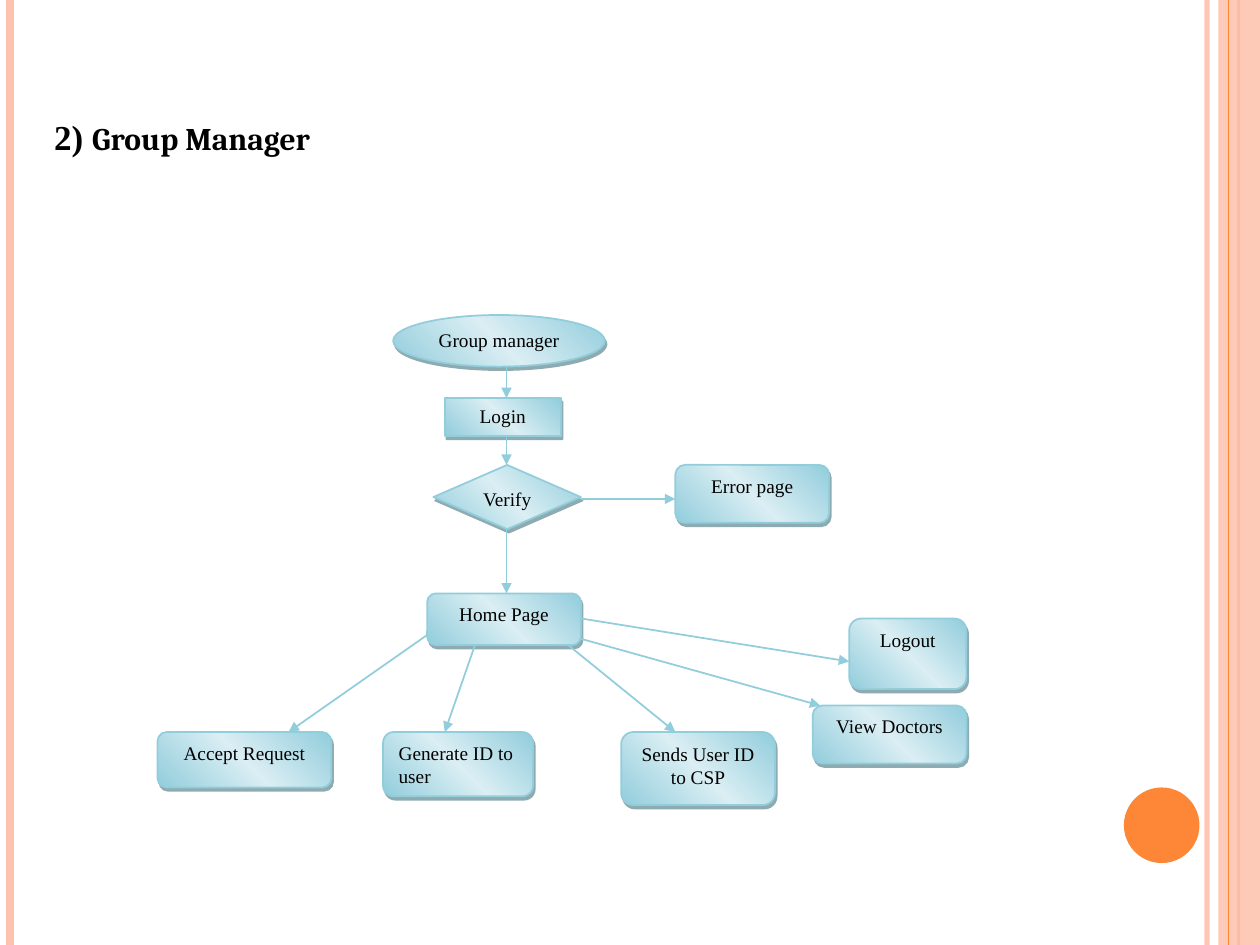
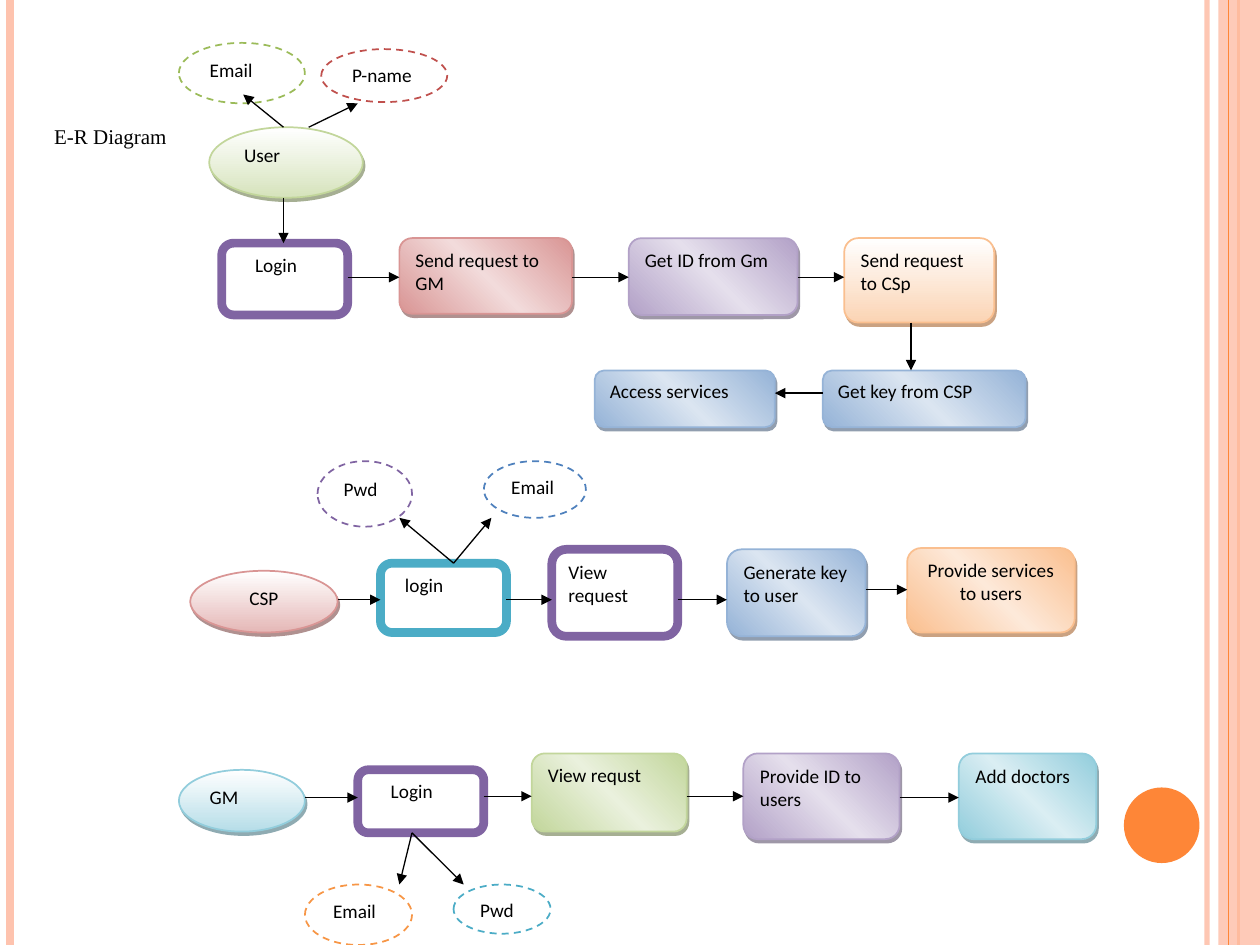
"""Build two slides: the group manager flow chart and the E-R diagram."""
import dataclasses

import pptx
import pptx.dml.color
import pptx.enum.dml
import pptx.enum.shapes
import pptx.enum.text
import pptx.oxml
import pptx.oxml.ns
import pptx.util

RGBColor = pptx.dml.color.RGBColor
Inches = pptx.util.Inches
Pt = pptx.util.Pt
Kind = pptx.enum.shapes.MSO_SHAPE
Align = pptx.enum.text.PP_ALIGN
qn = pptx.oxml.ns.qn
NAMESPACE = pptx.oxml.ns.nsdecls("a")


@dataclasses.dataclass(frozen=True)
class Hue:
    """One colour family, from its strong tone to its shadow."""
    strong: RGBColor
    base: RGBColor
    light: RGBColor
    soft: RGBColor
    shade: RGBColor


def hue(*codes):
    """Make a colour family from hex codes."""
    return Hue(*map(RGBColor.from_string, codes))


BLACK = RGBColor(0x00, 0x00, 0x00)
WHITE = RGBColor(0xFF, 0xFF, 0xFF)
PEACH = RGBColor(0xFE, 0xC3, 0xAE)
TANGERINE = RGBColor(0xFE, 0x86, 0x37)
AQUA = hue("4BACC6", "92CDDC", "DAEEF3", "B6DDE8", "205867")
PURPLE = hue("8064A2", "B2A1C7", "E5DFEC", "CCC0D9", "3F3151")
GREEN = hue("9BBB59", "C2D69B", "EAF1DD", "D6E3BC", "4E6128")
RED = hue("C0504D", "D99594", "F2DBDB", "E5B8B7", "622423")
BLUE = hue("4F81BD", "95B3D7", "DBE5F1", "B8CCE4", "243F60")
ORANGE = hue("F79646", "FABF8F", "FDE9D9", "FBD4B4", "974706")

SERIF, SANS = "Times New Roman", "Calibri"
WIDTH, HEIGHT = 10, 7.5
TITLE_AREA = (0.33, 0.83, 9, 0.5)
TEXT_SIZE = 11

EDGE_LINES = [
    (9.58, PEACH, 3, 93),
    (0.08, PEACH, 4.5, 100),
    (9.83, TANGERINE, 1.5, 100),
]
EDGE_BAND = (9.67, 0, 0.33, HEIGHT)
INNER_LINE = (9.75, TANGERINE, 0.75, 100)
PAGE_DOT = (8.92, 6.25, 0.6, 0.6)

OVAL, RECT, DIAMOND, ROUND = Kind.OVAL, Kind.RECTANGLE, Kind.DIAMOND, Kind.ROUNDED_RECTANGLE

MANAGER_FLOW = {
    "title": [("2) ", SERIF, 20, True), ("Group Manager", "Cambria", 18, True)],
    "font": SERIF,
    "arrow": (AQUA.base, 1),
    "nodes": {
        "manager": (OVAL, (3.12, 2.5, 1.68, 0.41), "Group manager", "sheen", AQUA, "center"),
        "login": (RECT, (3.53, 3.16, 0.92, 0.3), "Login", "sheen", AQUA, "center"),
        "verify": (DIAMOND, (3.44, 3.69, 1.17, 0.51), "Verify", "sheen", AQUA, "center"),
        "error": (ROUND, (5.36, 3.69, 1.22, 0.46), "Error page", "sheen", AQUA, "center"),
        "home": (ROUND, (3.39, 4.71, 1.22, 0.41), "Home Page", "sheen", AQUA, "center"),
        "accept": (ROUND, (1.25, 5.81, 1.38, 0.44), "Accept Request", "sheen", AQUA, "center"),
        "send": (ROUND, (4.93, 5.81, 1.22, 0.58), "Sends User ID to CSP", "sheen", AQUA, "center"),
        "generate": (ROUND, (3.04, 5.81, 1.19, 0.51), "Generate ID to user", "sheen", AQUA, 0),
        "logout": (ROUND, (6.74, 4.91, 0.93, 0.56), "Logout", "sheen", AQUA, "center"),
        "doctors": (ROUND, (6.45, 5.6, 1.22, 0.46), "View Doctors", "sheen", AQUA, "center"),
    },
    "across": [("verify", "error", 3.96)],
    "down": [("manager", "login", 4.02), ("login", "verify", 4.02), ("verify", "home", 4.02)],
    "slanted": [
        (3.39, 5.04, 2.29, 5.81),
        (4.62, 4.91, 6.74, 5.25),
        (3.77, 5.12, 3.53, 5.81),
        (4.51, 5.12, 5.36, 5.81),
        (4.61, 5.07, 6.51, 5.6),
    ],
}

ER_DIAGRAM = {
    "title": [("E-R Diagram", SERIF, 12, False)],
    "font": SANS,
    "arrow": (BLACK, 0.75),
    "nodes": {
        "user email": (OVAL, (1.42, 0.34, 1, 0.48), "Email", "dashed", GREEN, 0),
        "user name": (OVAL, (2.55, 0.39, 1, 0.42), "P-name", "dashed", RED, 0),
        "user login": (ROUND, (1.76, 1.93, 1, 0.57), "Login", "framed", PURPLE, 10),
        "user": (OVAL, (1.66, 1.01, 1.22, 0.56), "User", "fade", GREEN, 0),
        "ask gm": (ROUND, (3.17, 1.89, 1.37, 0.6), "Send request to GM", "sheen", RED, 0),
        "get id": (ROUND, (4.99, 1.89, 1.34, 0.61), "Get ID from Gm", "sheen", PURPLE, 0),
        "ask csp": (ROUND, (6.7, 1.89, 1.19, 0.67), "Send request to CSp", "fade", ORANGE, 0),
        "get key": (ROUND, (6.53, 2.94, 1.61, 0.45), "Get key from CSP", "sheen", BLUE, 0),
        "access": (ROUND, (4.72, 2.94, 1.43, 0.45), "Access services", "sheen", BLUE, 0),
        "csp email": (OVAL, (3.84, 3.66, 0.81, 0.45), "Email", "dashed", BLUE, 0),
        "csp pwd": (OVAL, (2.52, 3.66, 0.75, 0.52), "Pwd", "dashed", PURPLE, 0),
        "csp": (OVAL, (1.51, 4.53, 1.17, 0.49), "CSP", "fade", RED, "center"),
        "csp login": (ROUND, (3.02, 4.47, 1, 0.55), "login", "framed", AQUA, 5),
        "csp view": (ROUND, (4.38, 4.36, 1, 0.69), "View request", "framed", PURPLE, 0),
        "make key": (ROUND, (5.77, 4.36, 1.1, 0.69), "Generate key to user", "sheen", BLUE, 0),
        "serve": (ROUND, (7.2, 4.35, 1.33, 0.67), "Provide services to users", "sheen", ORANGE, "center"),
        "gm": (OVAL, (1.42, 6.11, 1, 0.49), "GM", "fade", AQUA, 0),
        "gm login": (ROUND, (2.84, 6.11, 1, 0.5), "Login", "framed", PURPLE, 10),
        "gm view": (ROUND, (4.22, 5.98, 1.23, 0.62), "View requst", "sheen", GREEN, 0),
        "give id": (ROUND, (5.9, 5.98, 1.24, 0.68), "Provide ID to users", "sheen", PURPLE, 0),
        "add": (ROUND, (7.61, 5.98, 1.09, 0.68), "Add doctors", "sheen", AQUA, 0),
        "gm email": (OVAL, (2.42, 7.02, 0.85, 0.48), "Email", "dashed", ORANGE, 0),
        "gm pwd": (OVAL, (3.6, 7.02, 0.77, 0.39), "Pwd", "dashed", AQUA, 0),
    },
    "across": [
        ("user login", "ask gm", 2.2), ("ask gm", "get id", 2.2), ("get id", "ask csp", 2.2),
        ("get key", "access", 3.12),
        ("csp", "csp login", 4.76), ("csp login", "csp view", 4.76),
        ("csp view", "make key", 4.76), ("make key", "serve", 4.68),
        ("gm", "gm login", 6.33), ("gm login", "gm view", 6.32),
        ("gm view", "give id", 6.32), ("give id", "add", 6.33),
    ],
    "down": [("user", "user login", 2.25), ("ask csp", "get key", 7.23)],
    "slanted": [
        (2.25, 1.01, 1.93, 0.75), (2.45, 1.01, 2.84, 0.82),
        (3.6, 4.47, 3.9, 4.11), (3.6, 4.47, 3.17, 4.11),
        (3.27, 6.61, 3.17, 7.02), (3.27, 6.61, 3.68, 7.02),
    ],
}


def xml(text):
    """Parse one drawing element whose first tag lacks its namespace."""
    return pptx.oxml.parse_xml(text.replace(">", f" {NAMESPACE}>", 1))


def set_alpha(element, percent):
    """Make the first colour inside an element partly transparent."""
    color = next(element.iter(qn("a:srgbClr")))
    color.append(pptx.oxml.parse_xml(f'<a:alpha {NAMESPACE} val="{percent * 1000}"/>'))


def add_line(page, ends, color, width, alpha=100, arrow=False):
    """Draw a straight line, with an arrowhead if asked."""
    line = page.shapes.add_connector(
        pptx.enum.shapes.MSO_CONNECTOR.STRAIGHT, *map(Inches, ends))
    line.line.color.rgb = color
    line.line.width = Pt(width)
    properties = line.element.spPr
    stroke = properties.find(qn("a:ln"))
    if alpha < 100:
        set_alpha(stroke, alpha)
    if arrow:
        stroke.append(xml('<a:tailEnd type="triangle"></a:tailEnd>'))
    properties.append(xml("<a:effectLst></a:effectLst>"))


def add_plain(page, kind, area, color):
    """Draw a flat shape without outline."""
    shape = page.shapes.add_shape(kind, *map(Inches, area))
    shape.shadow.inherit = False
    shape.fill.solid()
    shape.fill.fore_color.rgb = color
    shape.line.fill.background()
    return shape


def add_edges(page):
    """Draw the bands, rules and dot that frame every slide."""
    def rule(x, *look):
        add_line(page, (x, 0, x, HEIGHT), *look)

    for edge in EDGE_LINES:
        rule(*edge)
    set_alpha(add_plain(page, RECT, EDGE_BAND, PEACH).element.spPr, 87)
    rule(*INNER_LINE)
    add_plain(page, OVAL, PAGE_DOT, TANGERINE)


def add_span(para, text, font, size, bold=False):
    """Add one black run of text."""
    span = para.add_run()
    span.text = text
    span.font.name, span.font.size, span.font.bold = font, Pt(size), bold
    span.font.color.rgb = BLACK


def add_title(page, spans):
    """Fill the title placeholder."""
    title = page.shapes.title
    title.left, title.top, title.width, title.height = map(Inches, TITLE_AREA)
    frame = title.text_frame
    frame.auto_size = pptx.enum.text.MSO_AUTO_SIZE.NONE
    frame.vertical_anchor = pptx.enum.text.MSO_ANCHOR.MIDDLE
    para = frame.paragraphs[0]
    para.alignment = Align.LEFT
    for span in spans:
        add_span(para, *span)


def add_gradient(box, colors, angle):
    """Fill a shape with evenly spaced colours and give it a shadow."""
    step = 100000 // (len(colors) - 1)
    stops = "".join(
        f'<a:gs pos="{i * step}"><a:srgbClr val="{color}"/></a:gs>'
        for i, color in enumerate(colors))
    box.element.spPr.find(qn("a:prstGeom")).addnext(xml(
        f'<a:gradFill rotWithShape="1"><a:gsLst>{stops}</a:gsLst>'
        f'<a:lin ang="{angle * 60000}" scaled="1"/></a:gradFill>'))


def paint(box, style, family):
    """Apply one of the node styles: sheen, fade, framed or dashed."""
    box.shadow.inherit = False
    if style in ("sheen", "fade"):
        if style == "sheen":
            add_gradient(box, (family.base, family.light, family.base), 315)
        else:
            add_gradient(box, (WHITE, family.soft), 90)
        box.element.spPr.find(qn("a:effectLst")).append(xml(
            f'<a:outerShdw dist="{Pt(2.2)}" dir="{63 * 60000}" algn="ctr" rotWithShape="0">'
            f'<a:srgbClr val="{family.shade}"><a:alpha val="50000"/></a:srgbClr></a:outerShdw>'))
        box.line.color.rgb = family.base
    else:
        box.fill.solid()
        box.fill.fore_color.rgb = WHITE
        box.line.color.rgb = family.strong
    box.line.width = Pt(5 if style == "framed" else 1)
    if style == "dashed":
        box.line.dash_style = pptx.enum.dml.MSO_LINE.DASH


def add_node(page, font, kind, area, text, style, family, align):
    """Draw a labelled node; a number as align is a left indent in points."""
    box = page.shapes.add_shape(kind, *map(Inches, area))
    paint(box, style, family)
    frame = box.text_frame
    frame.word_wrap = kind != DIAMOND
    frame.vertical_anchor = pptx.enum.text.MSO_ANCHOR.TOP
    para = frame.paragraphs[0]
    para.space_after = Pt(10)
    if align == "center":
        para.alignment = Align.CENTER
    else:
        para.alignment = Align.LEFT
        para._p.get_or_add_pPr().set("marL", str(Pt(align)))
    add_span(para, text, font, TEXT_SIZE)


def arrow_ends(diagram):
    """List the end points of all arrows of a diagram."""
    areas = {name: node[1] for name, node in diagram["nodes"].items()}
    ends = list(diagram["slanted"])
    for start, end, y in diagram["across"]:
        (x1, _, w1, _), (x2, _, w2, _) = areas[start], areas[end]
        ends.append((x1 + w1, y, x2, y) if x1 < x2 else (x1, y, x2 + w2, y))
    for start, end, x in diagram["down"]:
        ends.append((x, areas[start][1] + areas[start][3], x, areas[end][1]))
    return ends


def main():
    """Build and save the deck."""
    deck = pptx.Presentation()
    deck.slide_width, deck.slide_height = Inches(WIDTH), Inches(HEIGHT)
    for diagram in (MANAGER_FLOW, ER_DIAGRAM):
        page = deck.slides.add_slide(deck.slide_layouts.get_by_name("Title Only"))
        add_edges(page)
        add_title(page, diagram["title"])
        for node in diagram["nodes"].values():
            add_node(page, diagram["font"], *node)
        for ends in arrow_ends(diagram):
            add_line(page, ends, *diagram["arrow"], arrow=True)
    deck.save("out.pptx")


if __name__ == "__main__":
    main()
